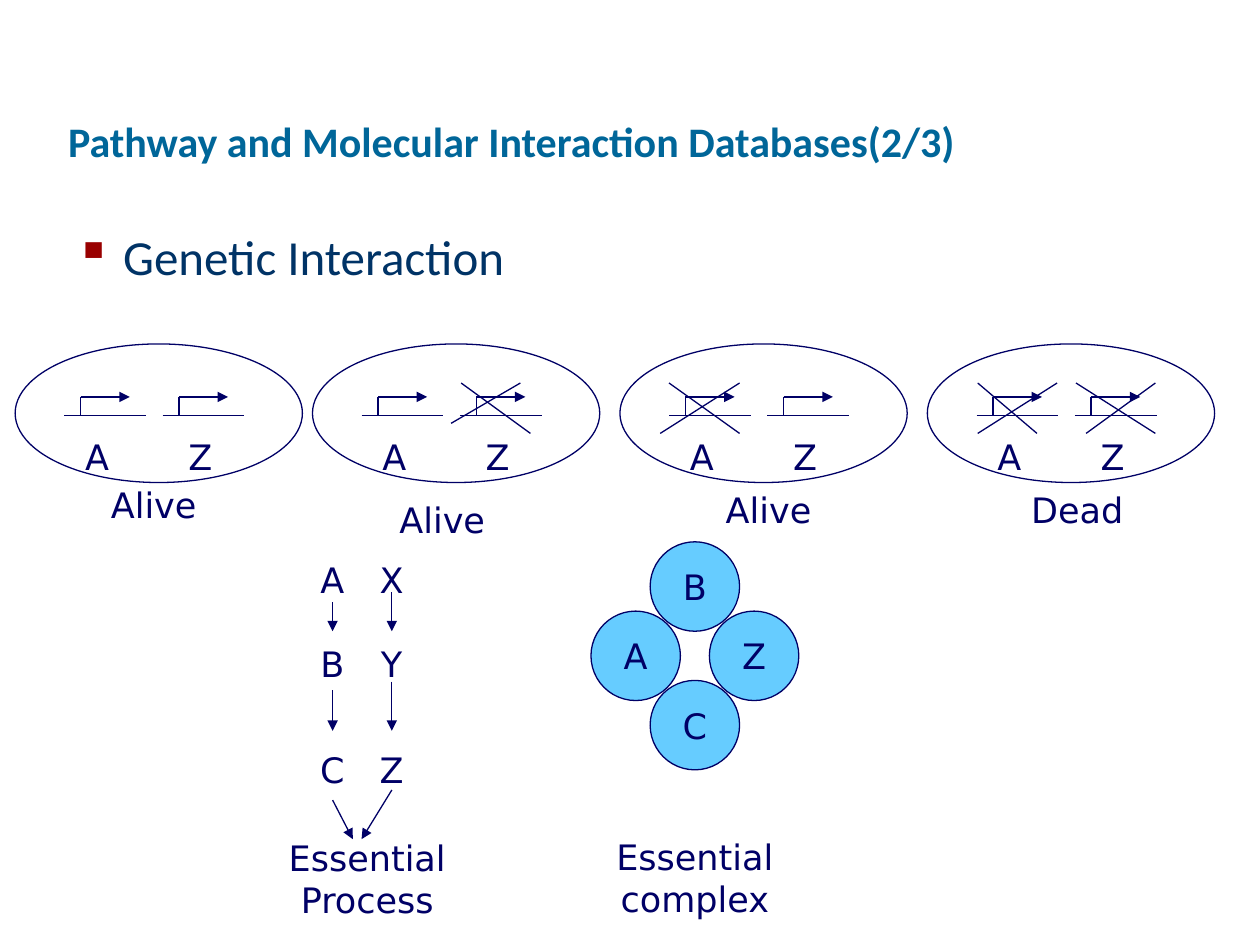
from dataclasses import dataclass

from lxml import etree
from pptx import Presentation
from pptx.dml.color import RGBColor
from pptx.enum.shapes import MSO_CONNECTOR, MSO_SHAPE
from pptx.enum.text import MSO_ANCHOR, MSO_AUTO_SIZE, PP_ALIGN
from pptx.oxml.ns import qn
from pptx.util import Inches, Pt

STRAIGHT = MSO_CONNECTOR.STRAIGHT
OVAL = MSO_SHAPE.OVAL
LEFT, CENTER = PP_ALIGN.LEFT, PP_ALIGN.CENTER
MIDDLE, BOTTOM = MSO_ANCHOR.MIDDLE, MSO_ANCHOR.BOTTOM
NO_FIT, GROW = MSO_AUTO_SIZE.NONE, MSO_AUTO_SIZE.SHAPE_TO_FIT_TEXT


@dataclass(frozen=True)
class Theme:
    title: RGBColor = RGBColor(0x00, 0x66, 0x99)
    body: RGBColor = RGBColor(0x00, 0x33, 0x66)
    bullet: str = "990000"
    ink: RGBColor = RGBColor(0x00, 0x00, 0x66)
    protein: RGBColor = RGBColor(0x66, 0xCC, 0xFF)
    heading_font: str = "Calibri"
    label_font: str = "DejaVu Sans"
    title_size: float = 24
    body_size: float = 28
    label_size: float = 20
    line_width: float = 0.75


class SlideBuilder:
    def __init__(self, page, theme):
        self.page, self.theme = page, theme

    def set_font(self, para, name, size, color, bold=False):
        font = para.font
        font.name, font.size, font.bold = name, Pt(size), bold
        font.color.rgb = color

    def label_font(self, para):
        self.set_font(para, self.theme.label_font, self.theme.label_size, self.theme.ink)

    def title(self, text, left, top, width, height):
        box = self.page.shapes.title
        box.left, box.top, box.width, box.height = map(Inches, (left, top, width, height))
        frame = box.text_frame
        frame.text = text
        frame.vertical_anchor, frame.auto_size = BOTTOM, NO_FIT
        para = frame.paragraphs[0]
        para.alignment = LEFT
        self.set_font(para, self.theme.heading_font, self.theme.title_size, self.theme.title, True)

    def text_frame(self, text, left, top, width, height, parent=None):
        shapes = (parent or self.page).shapes
        frame = shapes.add_textbox(*map(Inches, (left, top, width, height))).text_frame
        frame.word_wrap = True
        frame.text = text
        return frame

    def bullet(self, text, *place):
        para = self.text_frame(text, *place).paragraphs[0]
        props = para._p.get_or_add_pPr()
        props.set("marL", str(Inches(0.38)))
        props.set("indent", str(Inches(-0.38)))
        color = etree.SubElement(props, qn("a:buClr"))
        etree.SubElement(color, qn("a:srgbClr"), val=self.theme.bullet)
        etree.SubElement(props, qn("a:buChar"), char="▪")
        self.set_font(para, self.theme.heading_font, self.theme.body_size, self.theme.body)

    def label(self, text, *place, parent=None):
        frame = self.text_frame(text, *place, parent=parent)
        frame.auto_size = GROW
        para = frame.paragraphs[0]
        para.alignment = CENTER
        self.label_font(para)

    def columns(self, rows, stops, *place):
        """Rows of (text, space before), each letter centred on a tab stop."""
        frame = self.text_frame("\n".join(text for text, _ in rows), *place)
        frame.auto_size = GROW
        for para, (_, space) in zip(frame.paragraphs, rows):
            para.alignment = LEFT
            if space:
                para.space_before = Pt(space)
            tabs = etree.SubElement(para._p.get_or_add_pPr(), qn("a:tabLst"))
            for stop in stops:
                etree.SubElement(tabs, qn("a:tab"), pos=str(Inches(stop)), algn="ctr")
            self.label_font(para)

    def outline(self, shape):
        shape.line.color.rgb = self.theme.ink
        shape.line.width = Pt(self.theme.line_width)

    def line(self, x1, y1, x2, y2, arrow=False, parent=None):
        shapes = (parent or self.page).shapes
        link = shapes.add_connector(STRAIGHT, *map(Inches, (x1, y1, x2, y2)))
        self.outline(link)
        if arrow:
            etree.SubElement(link.line._get_or_add_ln(), qn("a:tailEnd"), type="triangle")
        etree.SubElement(link._element.spPr, qn("a:effectLst"))

    def oval(self, left, top, width, height, text="", fill=None, parent=None):
        shapes = (parent or self.page).shapes
        shape = shapes.add_shape(OVAL, *map(Inches, (left, top, width, height)))
        shape.shadow.inherit = False
        self.outline(shape)
        if fill is None:
            shape.fill.background()
        else:
            shape.fill.solid()
            shape.fill.fore_color.rgb = fill
        if text:
            frame = shape.text_frame
            frame.text = text
            frame.word_wrap, frame.vertical_anchor = False, MIDDLE
            frame.paragraphs[0].alignment = CENTER
            self.label_font(frame.paragraphs[0])

    def cell(self, left):
        """A cell outline holding genes A and Z."""
        group = self.page.shapes.add_group_shape()
        for gene in (left + 0.39, left + 1.17):
            self.line(gene, 3.3, gene + 0.65, 3.3, parent=group)
            self.line(gene + 0.13, 3.15, gene + 0.13, 3.3, parent=group)
            self.line(gene + 0.13, 3.15, gene + 0.52, 3.15, arrow=True, parent=group)
        self.label("A", left + 0.26, 3.41, 0.78, 0.44, parent=group)
        self.label("Z", left + 1.24, 3.41, 0.46, 0.44, parent=group)
        self.oval(left, 2.73, 2.28, 1.1, parent=group)


def main():
    deck = Presentation()
    deck.slide_width, deck.slide_height = Inches(10), Inches(7.5)
    theme = Theme()
    slide = SlideBuilder(deck.slides.add_slide(deck.slide_layouts[5]), theme)

    # Heading
    slide.title("Pathway and Molecular Interaction Databases(2/3)", 0.44, 0.12, 8.5, 1.25)
    slide.bullet("Genetic Interaction", 0.5, 1.75, 8.94, 0.6)

    # Cells
    for left in (0.12, 2.48, 4.92, 7.36):
        slide.cell(left)

    # Crosses over the deleted genes
    deletions = [
        (4.13, 3.58, 3.36), (3.66, 4.21, 3.44),
        (5.87, 5.24, 3.44), (5.31, 5.87, 3.44),
        (8.39, 7.76, 3.44), (7.76, 8.23, 3.44),
        (9.17, 8.62, 3.44), (8.54, 9.17, 3.44),
    ]
    for start, end, bottom in deletions:
        slide.line(start, 3.04, end, bottom)

    # Outcome of each cell
    outcomes = [("Alive", 0.51, 3.79), ("Alive", 2.8, 3.91),
                ("Alive", 5.39, 3.83), ("Dead", 7.84, 3.83)]
    for text, left, top in outcomes:
        slide.label(text, left, top, 1.42, 0.44)

    # Parallel pathways
    slide.columns([("\tA\tX", 0), ("\tB\tY", 24), ("\tC\tZ", 37)],
                  (0.53, 1.0), 2.01, 4.38, 1.73, 1.94)
    first, second = 2.64, 3.11
    pathway_arrows = [
        (first, 4.78, first, 5.01), (first, 5.48, first, 5.8),
        (second, 4.7, second, 5.01), (second, 5.41, second, 5.8),
        (first, 6.35, 2.8, 6.66), (second, 6.27, 2.87, 6.66),
    ]
    for ends in pathway_arrows:
        slide.line(*ends, arrow=True)
    slide.label("Essential\vProcess", 2.01, 6.59, 1.81, 0.77)

    # Protein complex
    center_x, center_y, size = 5.16, 4.85, 0.71
    for text, dx, dy in [("A", -0.47, 0), ("B", 0, -0.55), ("Z", 0.47, 0), ("C", 0, 0.55)]:
        slide.oval(center_x + dx, center_y + dy, size, size, text, theme.protein)
    slide.label("Essential\vcomplex", 4.61, 6.58, 1.81, 0.77)

    deck.save("out.pptx")


if __name__ == "__main__":
    main()
